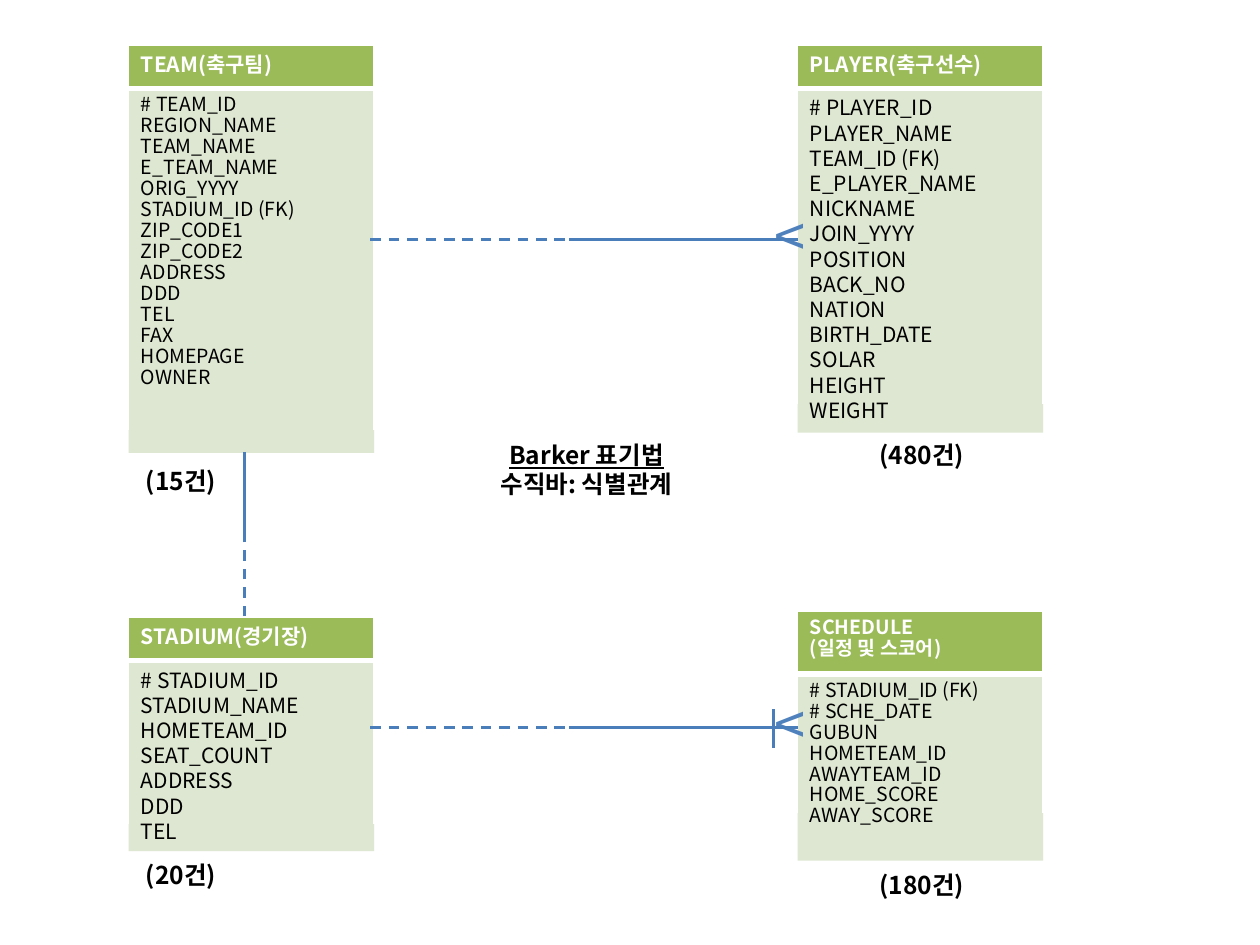
"""Draw an entity diagram of four tables in Barker notation."""
from lxml.etree import SubElement
from pptx import Presentation
from pptx.dml.color import RGBColor
from pptx.enum.dml import MSO_LINE
from pptx.enum.shapes import MSO_CONNECTOR, MSO_SHAPE
from pptx.enum.text import MSO_ANCHOR, MSO_AUTO_SIZE, PP_ALIGN
from pptx.oxml.ns import qn
from pptx.util import Inches, Pt

FONT = "Noto Sans CJK KR"
GREEN, PALE, BLUE, SIGN = "9BBB59", "DEE7D1", "4A7EBB", "4F81BD"
WHITE, BLACK = "FFFFFF", "000000"
LEFT, RIGHT, WIDE = 10.2, 63.3, 19.5


def paint(code):
    """Turn a hex string into a colour."""
    return RGBColor.from_string(code)


def write(frame, text, size=12, color=BLACK, bold=False, align=PP_ALIGN.LEFT,
          lead=None, before=None, under=()):
    """Fill a frame, one paragraph a line; under lists the underlined lines."""
    frame.word_wrap = True
    frame.vertical_anchor = MSO_ANCHOR.TOP
    for i, line in enumerate(text.split("\n")):
        para = frame.add_paragraph() if i else frame.paragraphs[0]
        para.alignment = align
        if lead:
            para.line_spacing = lead
        if before:
            para.space_before = Pt(before)
        run = para.add_run()
        run.text = line
        font = run.font
        font.name, font.size, font.bold = FONT, Pt(size), bold
        font.color.rgb = paint(color)
        if i in under:
            font.underline = True
        SubElement(run._r.get_or_add_rPr(), qn("a:ea"), typeface=FONT)


class Board:
    """Hold the slide and its grid of 100 columns by 75 rows."""

    def __init__(self):
        """Open a deck with one blank slide."""
        self.deck = Presentation()
        self.deck.slide_width, self.deck.slide_height = Inches(10), Inches(7.5)
        self.cell = self.deck.slide_width / 100
        self.shapes = self.deck.slides.add_slide(self.deck.slide_layouts[6]).shapes

    def scale(self, *cells):
        """Turn grid cells into lengths."""
        return [round(c * self.cell) for c in cells]

    def box(self, x, y, w, h, fill, text, **style):
        """Add a filled box with text."""
        item = self.shapes.add_shape(MSO_SHAPE.RECTANGLE, *self.scale(x, y, w, h))
        item.shadow.inherit = False
        item.fill.solid()
        item.fill.fore_color.rgb = paint(fill)
        item.line.fill.background()
        write(item.text_frame, text, **style)

    def label(self, x, y, w, h, text, **style):
        """Add free text."""
        frame = self.shapes.add_textbox(*self.scale(x, y, w, h)).text_frame
        write(frame, text, **style)
        frame.auto_size = MSO_AUTO_SIZE.SHAPE_TO_FIT_TEXT

    def line(self, x1, y1, x2, y2, color=BLUE, width=1.5, dash=False):
        """Add a straight line."""
        item = self.shapes.add_connector(MSO_CONNECTOR.STRAIGHT,
                                         *self.scale(x1, y1, x2, y2))
        item.line.color.rgb = paint(color)
        item.line.width = Pt(width)
        if dash:
            item.line.dash_style = MSO_LINE.DASH
        SubElement(item._element.spPr, qn("a:effectLst"))

    def table(self, x, y, head, body, title, fields, foot, tight=(False, False)):
        """Add an entity: title, fields and white rules."""
        snug = dict(size=11.1, lead=0.9)
        tops, rows = [snug if t else {} for t in tight]
        mid, end = y + head, x + WIDE
        self.box(x, y, WIDE, head, GREEN, title, color=WHITE, bold=True, **tops)
        self.box(x, mid, WIDE, body, PALE, fields.replace(", ", "\n"), **rows)
        self.line(x, mid, end, mid, WHITE, 3)
        for side in (x, end):
            self.line(side, y, side, foot, WHITE, 1)
        self.line(x, y, end, y, WHITE, 1)

    def link(self, y):
        """Add a one to many link, half dashed, with a crow's foot."""
        self.label(59.55, y - 3.5, 5.4, 6.4, "<", size=32, color=SIGN,
                   align=PP_ALIGN.RIGHT)
        self.line(29.4, y, 45.95, y, dash=True)
        self.line(45.15, y, RIGHT, y)


board = Board()
board.table(LEFT, 3.6, 3.45, 28.9, "TEAM(축구팀)",
            "# TEAM_ID, REGION_NAME, TEAM_NAME, E_TEAM_NAME, ORIG_YYYY, "
            "STADIUM_ID (FK), ZIP_CODE1, ZIP_CODE2, ADDRESS, DDD, TEL, FAX, "
            "HOMEPAGE, OWNER", 34.1, (False, True))
board.table(LEFT, 49, 3.45, 15.1, "STADIUM(경기장)",
            "# STADIUM_ID, STADIUM_NAME, HOMETEAM_ID, SEAT_COUNT, ADDRESS, "
            "DDD, TEL", 65.4)
board.table(RIGHT, 48.5, 5, 14.8, "SCHEDULE\n(일정 및 스코어)",
            "# STADIUM_ID (FK), # SCHE_DATE, GUBUN, HOMETEAM_ID, AWAYTEAM_ID, "
            "HOME_SCORE, AWAY_SCORE", 64.5, (True, True))
board.table(RIGHT, 3.6, 3.45, 27.3, "PLAYER(축구선수)",
            "# PLAYER_ID, PLAYER_NAME, TEAM_ID (FK), E_PLAYER_NAME, NICKNAME, "
            "JOIN_YYYY, POSITION, BACK_NO, NATION, BIRTH_DATE, SOLAR, HEIGHT, "
            "WEIGHT", 32.1)

board.line(61.4, 56.3, 61.4, 59.4)
bold = dict(size=14, bold=True)
board.label(35.2, 34.4, 22.7, 5.7, "Barker 표기법\n수직바: 식별관계",
            align=PP_ALIGN.CENTER, under=(0,), **bold)
for x, y, w, count, align in (
        (10.6, 36.5, 11.4, 15, PP_ALIGN.LEFT),
        (10.6, 67.8, 11.4, 20, PP_ALIGN.LEFT),
        (64.1, 34.4, 18.1, 480, PP_ALIGN.CENTER),
        (64.1, 68.6, 18.1, 180, PP_ALIGN.CENTER)):
    board.label(x, y, w, 3.4, f"({count}건)", align=align, before=8.8, **bold)

for y in (19, 57.75):
    board.link(y)
board.line(19.4, 48.9, 19.4, 41.6, dash=True)
board.line(19.4, 35.9, 19.4, 43)

board.deck.save("out.pptx")
